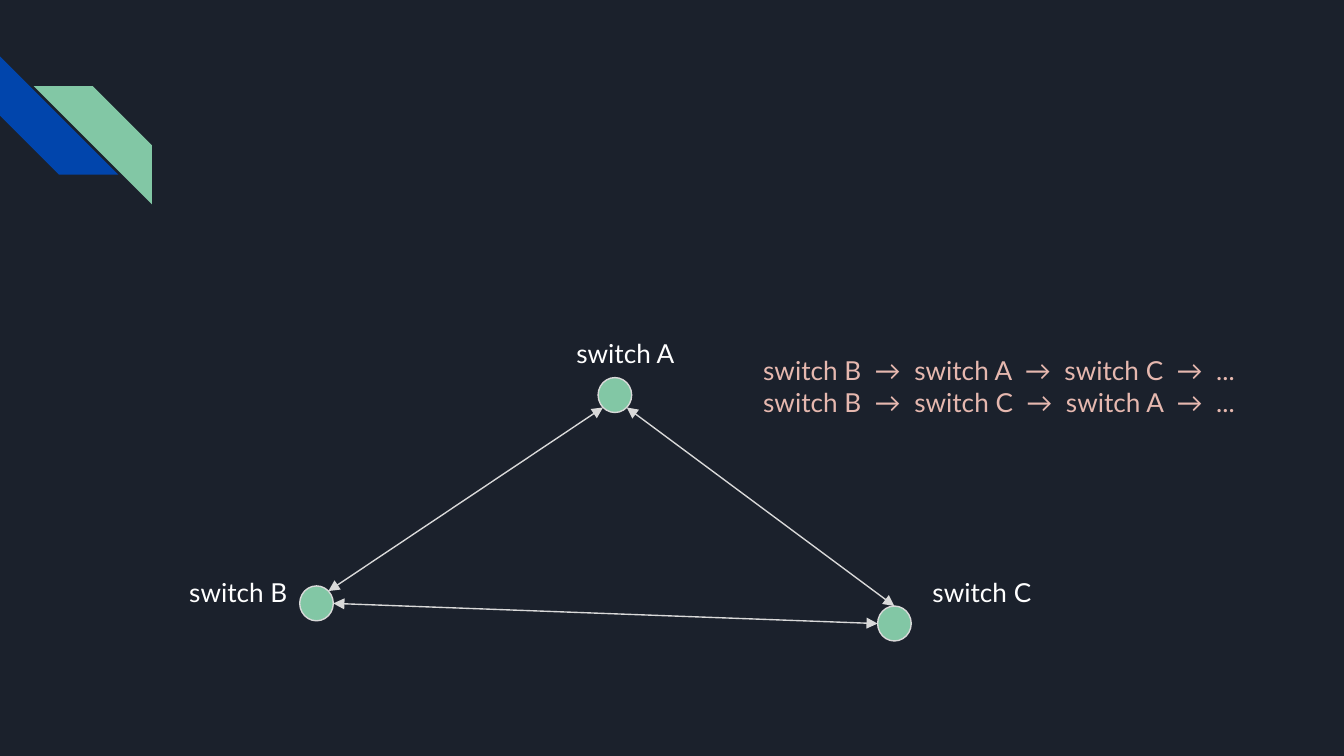
import math

from pptx import Presentation
from pptx.dml.color import RGBColor
from pptx.enum import shapes as kinds
from pptx.oxml import xmlchemy
from pptx.util import Inches, Pt

FONT = "Lato"
NAVY, BLUE, GREEN = "1B212C", "0145AC", "82C7A5"
GREY, WHITE, PINK = "D9D9D9", "FFFFFF", "E6B8AF"

# left, top, rotation, colour
STRIPES = [(0, 0.42, 270, BLUE), (0.25, 0.64, 90, GREEN)]
STRIPE_SIZE = 0.88

NODE_W, NODE_H = 0.25, 0.26
# node left and top, label box
SWITCHES = {
    "B": ((2.23, 4.36), (1.31, 4.19, 1.17, 0.8)),
    "A": ((4.45, 2.81), (4.19, 2.41, 1.27, 0.8)),
    "C": ((6.53, 4.51), (6.84, 4.19, 1.53, 0.58)),
}
# switch and angle on its rim, for both ends (0 is right, 90 is down)
LINKS = [
    (("B", -45), ("A", 135)),
    (("B", 0), ("C", 180)),
    (("A", 45), ("C", -90)),
]
ROUTES = ["BAC", "BCA"]
ROUTES_BOX = (5.58, 2.54, 4.32, 0.8)


def rgb(value):
    return RGBColor.from_string(value)


def add_filled(kind, box, color):
    shape = slide.shapes.add_shape(kind, *map(Inches, box))
    shape.shadow.inherit = False
    shape.fill.solid()
    shape.fill.fore_color.rgb = rgb(color)
    return shape


def outline(line):
    line.color.rgb = rgb(GREY)
    line.width = Pt(0.75)


def rim_point(name, angle):
    (left, top), _ = SWITCHES[name]
    turn = math.radians(angle)
    return (Inches(left + NODE_W / 2 * (1 + math.cos(turn))),
            Inches(top + NODE_H / 2 * (1 + math.sin(turn))))


def add_link(start, end):
    link = slide.shapes.add_connector(
        kinds.MSO_CONNECTOR.STRAIGHT, *rim_point(*start), *rim_point(*end))
    outline(link.line)
    for tag in ("a:headEnd", "a:tailEnd"):
        arrowhead = xmlchemy.OxmlElement(tag)
        arrowhead.set("type", "triangle")
        link.line._get_or_add_ln().append(arrowhead)
    link._element.spPr.append(xmlchemy.OxmlElement("a:effectLst"))


def add_text(box, lines, color):
    frame = slide.shapes.add_textbox(*map(Inches, box)).text_frame
    frame.word_wrap = True
    frame.margin_left = frame.margin_right = Inches(0.1)
    frame.margin_top = frame.margin_bottom = Inches(0.1)
    frame.text = "\n".join(lines)
    for paragraph in frame.paragraphs:
        paragraph.font.name = FONT
        paragraph.font.size = Pt(14)
        paragraph.font.color.rgb = rgb(color)


prs = Presentation()
prs.slide_width = Inches(10)
prs.slide_height = Inches(10 * 9 / 16)
slide = prs.slides.add_slide(prs.slide_layouts[6])
slide.background.fill.solid()
slide.background.fill.fore_color.rgb = rgb(NAVY)

for left, top, rotation, color in STRIPES:
    stripe = add_filled(kinds.MSO_SHAPE.DIAGONAL_STRIPE,
                        (left, top, STRIPE_SIZE, STRIPE_SIZE), color)
    stripe.rotation = rotation
    stripe.line.fill.background()

for corner, _ in SWITCHES.values():
    node = add_filled(kinds.MSO_SHAPE.OVAL, (*corner, NODE_W, NODE_H), GREEN)
    outline(node.line)

for start, end in LINKS:
    add_link(start, end)

for name, (_, label_box) in SWITCHES.items():
    add_text(label_box, [f"switch {name}"], WHITE)

add_text(ROUTES_BOX,
         ["  →  ".join([f"switch {name}" for name in route] + ["..."])
          for route in ROUTES], PINK)

prs.save("out.pptx")
